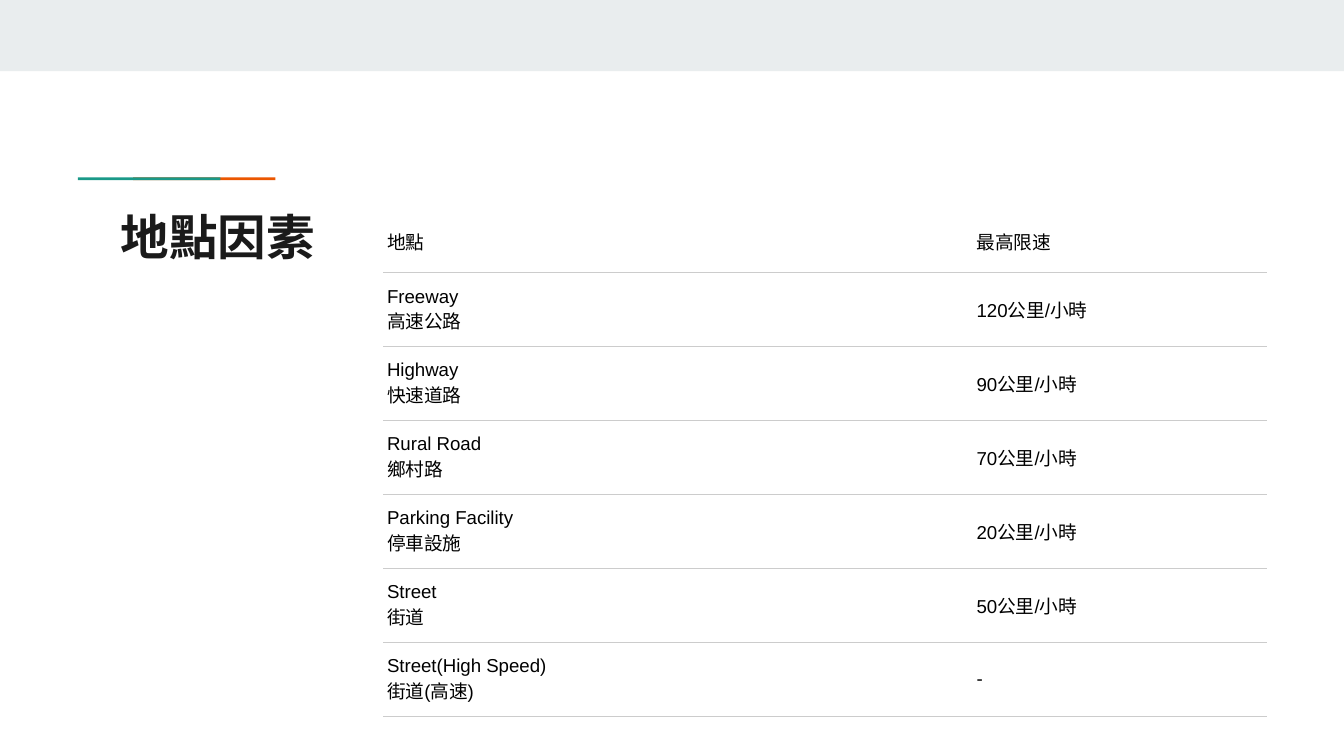
from typing import NamedTuple

from lxml.etree import SubElement
from pptx import Presentation
from pptx.dml.color import RGBColor as Rgb
from pptx.enum.shapes import MSO_SHAPE as Form
from pptx.enum.text import MSO_ANCHOR as Anchor
from pptx.oxml.ns import qn
from pptx.util import Inches, Pt

HUES = {"band": "E9EDEE", "teal": "1A9988", "flame": "EB5600", "title": "1A1A1A",
        "text": "000000", "rule": "CCCCCC", "page": "FFFFFF"}
TITLE = {"name": "Manrope", "size": Pt(26), "bold": True}
BODY = {"name": "Arial", "size": Pt(10), "bold": False}
PAD = {"margin_left": Inches(0.03), "margin_right": Inches(0.03),
       "margin_top": Inches(0.1), "margin_bottom": Inches(0.1),
       "vertical_anchor": Anchor.MIDDLE}


class Bar(NamedTuple):
    left: float
    top: float
    width: float
    height: float
    hue: str


class Road(NamedTuple):
    place: str
    limit: str


BARS = [Bar(0, 0, 10, 0.53, "band"),
        Bar(0.99, 1.32, 1.06, 0.02, "flame"),
        Bar(0.58, 1.32, 1.06, 0.02, "teal")]
ROADS = [Road("地點", "最高限速"),
         Road("Freeway\n高速公路", "120公里/小時"),
         Road("Highway\n快速道路", "90公里/小時"),
         Road("Rural Road\n鄉村路", "70公里/小時"),
         Road("Parking Facility\n停車設施", "20公里/小時"),
         Road("Street\n街道", "50公里/小時"),
         Road("Street(High Speed)\n街道(高速)", "-")]


def tint(hue: str) -> Rgb:
    """Return the named colour."""
    return Rgb.from_string(HUES[hue])


def apply(item, look: dict) -> None:
    """Set each attribute in the dict."""
    for key, value in look.items():
        setattr(item, key, value)


def write(frame, text: str, look: dict, hue: str) -> None:
    """Put styled text in a frame."""
    frame.text = text
    for para in frame.paragraphs:
        for run in para.runs:
            apply(run.font, look)
            run.font.color.rgb = tint(hue)


def draw_bar(slide, bar: Bar) -> None:
    """Draw a flat filled bar."""
    shape = slide.shapes.add_shape(Form.RECTANGLE, *map(Inches, bar[:4]))
    shape.shadow.inherit = False
    shape.fill.solid()
    shape.fill.fore_color.rgb = tint(bar.hue)
    shape.line.fill.background()


def draw_title(slide, text: str) -> None:
    """Add the slide title."""
    box = slide.shapes.add_textbox(*map(Inches, (0.8, 1.46, 8.41, 0.59)))
    frame = box.text_frame
    apply(frame, PAD | {"word_wrap": True, "margin_left": Inches(0.1),
                        "margin_right": Inches(0.1)})
    write(frame, text, TITLE, "title")


def edge(cell, sides: str) -> None:
    """Rule the named sides of a cell and clear the rest."""
    props = cell._tc.get_or_add_tcPr()
    for spot, side in enumerate("LRTB"):
        line = SubElement(props, qn(f"a:ln{side}"), w=str(Pt(0.75)))
        if side in sides:
            fill = SubElement(line, qn("a:solidFill"))
            SubElement(fill, qn("a:srgbClr"), val=HUES["rule"])
        else:
            SubElement(line, qn("a:noFill"))
        props.insert(spot, line)


def draw_table(slide, roads: list[Road]) -> None:
    """Add the table of speed limits."""
    size = map(Inches, (2.85, 1.56, 6.58, 0.47 * len(roads)))
    table = slide.shapes.add_table(len(roads), 3, *size).table
    apply(table, {"first_row": False, "horz_banding": False})
    for row, road in enumerate(roads):
        if row:
            table.cell(row, 0).merge(table.cell(row, 1))
            table.rows[row].height = Inches(0.55)
        for col in range(3):
            cell = table.cell(row, col)
            cell.fill.solid()
            cell.fill.fore_color.rgb = tint("page")
            edge(cell, "TB" if row else "B")
        for col, text in zip((0, 2), road):
            cell = table.cell(row, col)
            apply(cell, PAD)
            write(cell.text_frame, text, BODY, "text")


def main() -> None:
    """Build and save the slide."""
    deck = Presentation()
    wide = Inches(10)
    apply(deck, {"slide_width": wide, "slide_height": wide * 9 // 16})
    slide = deck.slides.add_slide(deck.slide_layouts[6])
    for bar in BARS:
        draw_bar(slide, bar)
    draw_title(slide, "地點因素")
    draw_table(slide, ROADS)
    deck.save("out.pptx")


if __name__ == "__main__":
    main()
